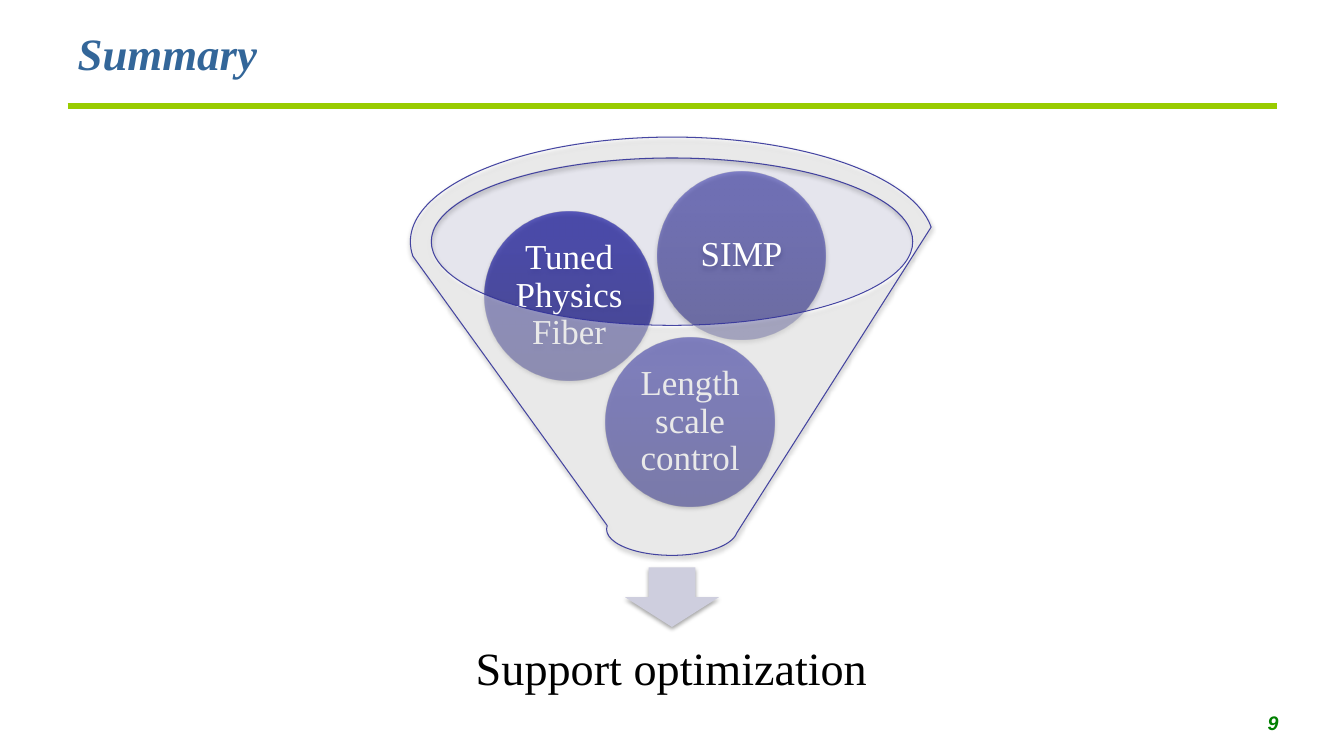
"""Build the Summary slide: a funnel of three inputs leading to support optimization."""
import pptx
import pptx.util
import pptx.dml.color
import pptx.enum.shapes
import pptx.enum.text
import pptx.oxml.ns
from lxml import etree

PX = 9144
COLORS = {"title": "336699", "rule": "99CC00", "number": "008000",
          "mouth": "BFBFD4", "arrow": "CECEDE", "edge": "333399",
          "white": "FFFFFF", "black": "000000",
          "low": "1B1B7E", "mid": "2323A3", "high": "2020A6"}
SHAPE = pptx.enum.shapes.MSO_SHAPE
ALIGN = pptx.enum.text.PP_ALIGN
MIDDLE = pptx.enum.text.MSO_ANCHOR.MIDDLE
RGB = pptx.dml.color.RGBColor.from_string
qn = pptx.oxml.ns.qn


def add_shape(kind, box, color, opacity=100, shadow=True):
    sp = s.shapes.add_shape(kind, *[v * PX for v in box])
    sp.fill.solid()
    sp.fill.fore_color.rgb = RGB(COLORS[color])
    clr = sp._element.spPr.find(".//" + qn("a:srgbClr"))
    etree.SubElement(clr, qn("a:alpha"), val=str(opacity * 1000))
    sp.line.fill.background()
    sp.shadow.inherit = False
    if shadow:
        effects = sp._element.spPr.find(qn("a:effectLst"))
        outer = etree.SubElement(effects, qn("a:outerShdw"), blurRad="40000",
                                 dist="23000", dir="5400000", rotWithShape="0")
        clr = etree.SubElement(outer, qn("a:srgbClr"), val=COLORS["black"])
        etree.SubElement(clr, qn("a:alpha"), val="35000")
    return sp


def write(sp, text, size, color, align, inset=None, spacing=None, font="Times New Roman", bold=False):
    tf = sp.text_frame
    tf.word_wrap = True
    if inset is not None:
        for side in ("left", "right", "top", "bottom"):
            setattr(tf, "margin_" + side, inset * PX)
    p = tf.paragraphs[0]
    p.alignment = align
    p.line_spacing = spacing
    r = p.add_run()
    r.text = text
    for name, value in {"size": pptx.util.Pt(size), "name": font, "bold": bold, "italic": bold}.items():
        setattr(r.font, name, value)
    r.font.color.rgb = RGB(COLORS[color])
    return tf


prs = pptx.Presentation()
prs.slide_width, prs.slide_height = 1333 * PX, 750 * PX
s = prs.slides.add_slide(prs.slide_layouts[5])

rule = s.shapes.add_connector(pptx.enum.shapes.MSO_CONNECTOR.STRAIGHT,
                              67 * PX, 105 * PX, 1267 * PX, 105 * PX)
rule.line.color.rgb = RGB(COLORS["rule"])
rule.line.width = pptx.util.Pt(4)
etree.SubElement(rule._element.spPr, qn("a:effectLst"))

title = s.shapes.title
for name, value in {"left": 67, "top": 25, "width": 1200, "height": 55}.items():
    setattr(title, name, value * PX)
write(title, "Summary", 32, "title", ALIGN.LEFT, bold=True).vertical_anchor = MIDDLE

number = s.shapes.add_textbox(1200 * PX, 700 * PX, 78 * PX, 25 * PX)
write(number, "9", 14, "number", ALIGN.RIGHT, font="Arial", bold=True)

add_shape(SHAPE.OVAL, (427, 156, 478, 166), "mouth", 40, shadow=False)
add_shape(SHAPE.DOWN_ARROW, (620, 563, 93, 59), "arrow")

result = s.shapes.add_textbox(444 * PX, 610 * PX, 444 * PX, 111 * PX)
write(result, "Support optimization", 33, "black", ALIGN.CENTER, 26, 0.9).vertical_anchor = MIDDLE

for text, left, top, opacity in (("Length scale control", 601, 335, 90),
                                 ("Tuned Physics Fiber", 481, 210, 70),
                                 ("SIMP", 652, 170, 50)):
    ball = add_shape(SHAPE.OVAL, (left, top, 167, 167), "mid")
    ball.fill.gradient()
    grad = ball._element.spPr.find(qn("a:gradFill"))
    for child in list(grad):
        grad.remove(child)
    stops = etree.SubElement(grad, qn("a:gsLst"))
    for pos, color in ((0, "low"), (80, "mid"), (100, "high")):
        stop = etree.SubElement(stops, qn("a:gs"), pos=str(pos * 1000))
        clr = etree.SubElement(stop, qn("a:srgbClr"), val=COLORS[color])
        etree.SubElement(clr, qn("a:alpha"), val=str(opacity * 1000))
    etree.SubElement(grad, qn("a:lin"), ang="16200000", scaled="0")
    write(ball, text, 25, "white", ALIGN.CENTER, 3, 0.9).vertical_anchor = MIDDLE

funnel = add_shape(SHAPE.FUNNEL, (407, 136, 519, 415), "white", 40)
funnel.line.color.rgb = RGB(COLORS["edge"])
funnel.line.width = pptx.util.Pt(0.75)
edge = funnel._element.spPr.find(qn("a:ln")).find(".//" + qn("a:srgbClr"))
etree.SubElement(edge, qn("a:alpha"), val="90000")

prs.save("out.pptx")
